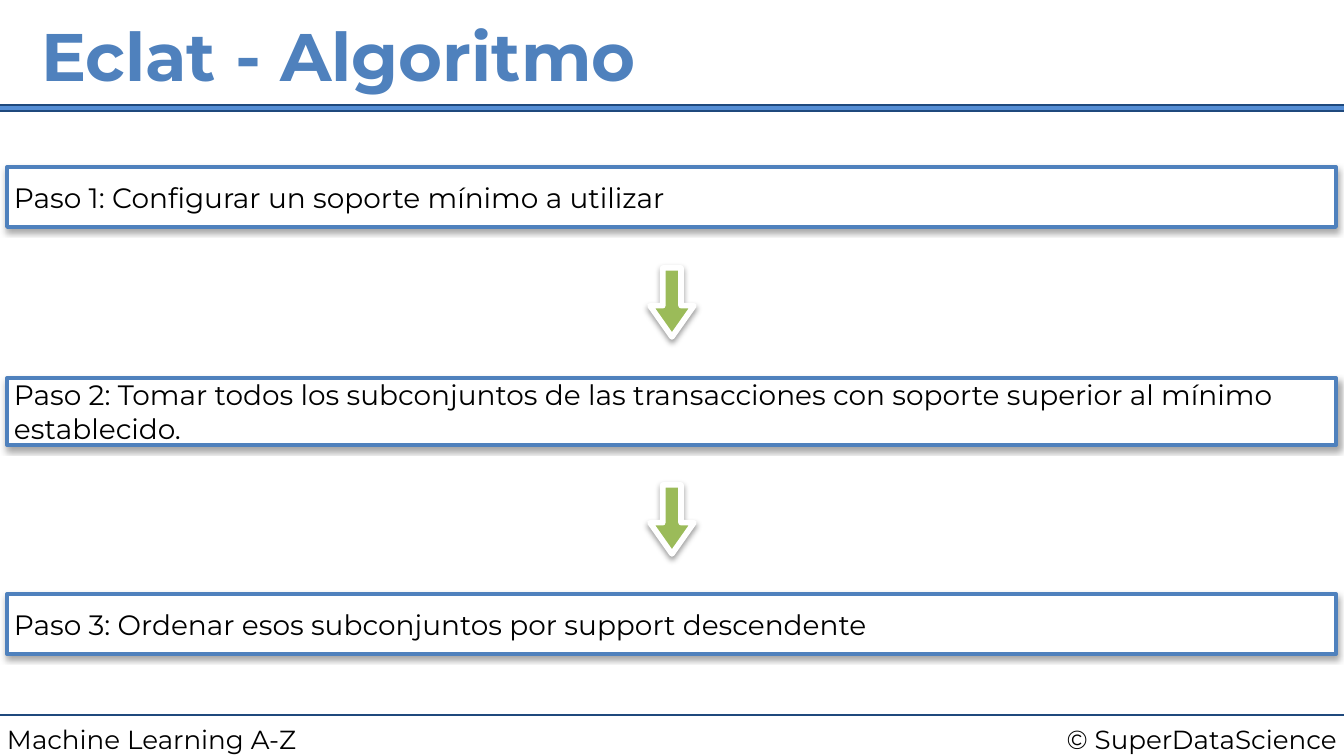
from lxml import etree
from pptx import Presentation
from pptx import util as u
from pptx.dml.color import RGBColor
from pptx.enum import shapes, text
from pptx.oxml import ns

SCALE = 914400 / 134.4
WIDE, HIGH = 1344, 756
COLORS = {
    "blue": "4F81BD",
    "navy": "1F497D",
    "sky": "558ED5",
    "green": "9BBB59",
    "white": "FFFFFF",
    "black": "000000",
}
STEPS = [
    (167, 60, "Paso 1: Configurar un soporte mínimo a utilizar"),
    (378, 67, "Paso 2: Tomar todos los subconjuntos de las transacciones "
              "con soporte superior al mínimo establecido."),
    (594, 60, "Paso 3: Ordenar esos subconjuntos por support descendente"),
]


def px(n):
    return u.Emu(round(n * SCALE))


def rgb(name):
    return RGBColor.from_string(COLORS[name])


class Deck:
    font = "Montserrat"
    inset = 7

    def __init__(self):
        self.prs = Presentation()
        self.prs.slide_width, self.prs.slide_height = px(WIDE), px(HIGH)
        self.slide = self.prs.slides.add_slide(self.prs.slide_layouts[6])

    def letter(self, shape, words, size, color="black", bold=False,
               align=text.PP_ALIGN.LEFT, anchor=text.MSO_ANCHOR.MIDDLE):
        frame = shape.text_frame
        frame.text = words
        frame.word_wrap = True
        frame.vertical_anchor = anchor
        frame.margin_left = frame.margin_right = px(self.inset)
        frame.margin_top = frame.margin_bottom = px(self.inset)
        line = frame.paragraphs[0]
        line.alignment = align
        for run in line.runs:
            run.font.name = self.font
            run.font.size = u.Pt(size)
            run.font.bold = bold
            run.font.color.rgb = rgb(color)

    def label(self, x, y, w, h, words, size, **style):
        box = self.slide.shapes.add_textbox(px(x), px(y), px(w), px(h))
        self.letter(box, words, size, **style)

    def shape(self, kind, x, y, w, h, fill, edge, weight):
        item = self.slide.shapes.add_shape(kind, px(x), px(y), px(w), px(h))
        item.shadow.inherit = False
        item.fill.solid()
        item.fill.fore_color.rgb = rgb(fill)
        item.line.color.rgb = rgb(edge)
        item.line.width = u.Pt(weight)
        return item

    def shade(self, item, alpha, dist, angle):
        effect = item._element.spPr.find(ns.qn("a:effectLst"))
        cast = etree.SubElement(
            effect, ns.qn("a:outerShdw"), blurRad=str(u.Pt(3)),
            dist=str(u.Pt(dist)), dir=str(angle * 60000), rotWithShape="0")
        tint = etree.SubElement(cast, ns.qn("a:srgbClr"), val=COLORS["black"])
        etree.SubElement(tint, ns.qn("a:alpha"), val=str(alpha * 1000))

    def rule(self, y, color, weight):
        line = self.slide.shapes.add_connector(
            shapes.MSO_CONNECTOR.STRAIGHT, 0, px(y), px(WIDE), px(y))
        line.line.color.rgb = rgb(color)
        line.line.width = u.Pt(weight)
        etree.SubElement(line._element.spPr, ns.qn("a:effectLst"))

    def step(self, y, h, words):
        box = self.shape(shapes.MSO_SHAPE.RECTANGLE, 7, y, 1329, h,
                         "white", "blue", 2)
        self.shade(box, 35, 1.8, 90)
        self.letter(box, words, 15)

    def arrow(self, mid):
        w, h = 44, 69
        item = self.shape(shapes.MSO_SHAPE.DOWN_ARROW, (WIDE - w) / 2,
                          mid - h / 2, w, h, "green", "white", 3)
        item.adjustments[0] = 0.415
        item.adjustments[1] = 0.71
        self.shade(item, 38, 1.6, 85)


def main():
    deck = Deck()
    top = text.MSO_ANCHOR.TOP
    deck.rule(715, "navy", 1.5)
    deck.label(952, 716, 392, 46, "© SuperDataScience", 14,
               align=text.PP_ALIGN.RIGHT, anchor=top)
    deck.label(0, 716, 437, 46, "Machine Learning A-Z", 14, anchor=top)
    deck.shape(shapes.MSO_SHAPE.RECTANGLE, -5, 105, 1354, 6,
               "sky", "navy", 0.75)
    deck.label(34, 0, 1276, 109, "Eclat - Algoritmo", 36,
               color="blue", bold=True)
    for y, h, words in STEPS:
        deck.step(y, h, words)
    for (y, h, _), (below, _, _) in zip(STEPS, STEPS[1:]):
        deck.arrow((y + h + below) / 2)
    deck.prs.save("out.pptx")


if __name__ == "__main__":
    main()
